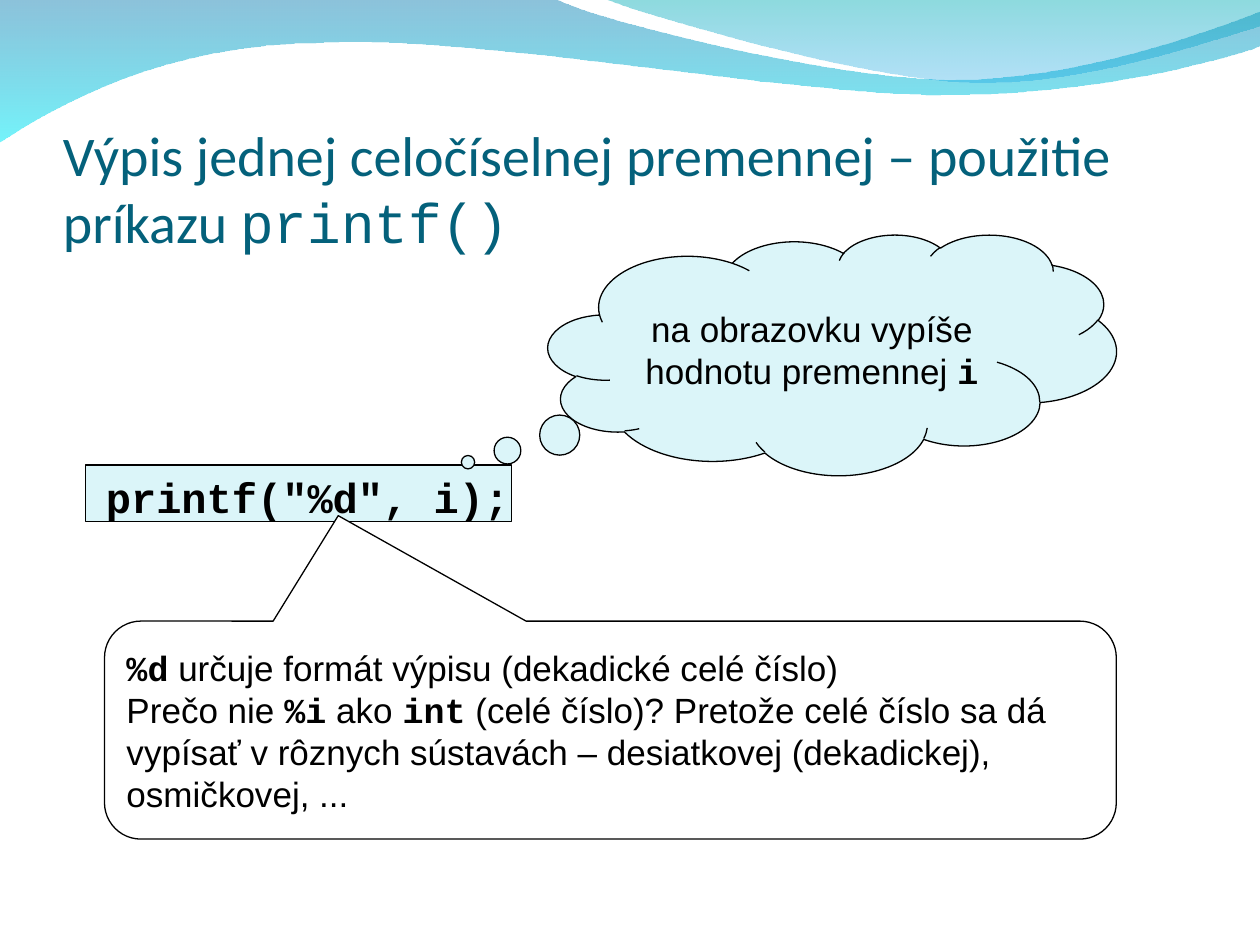
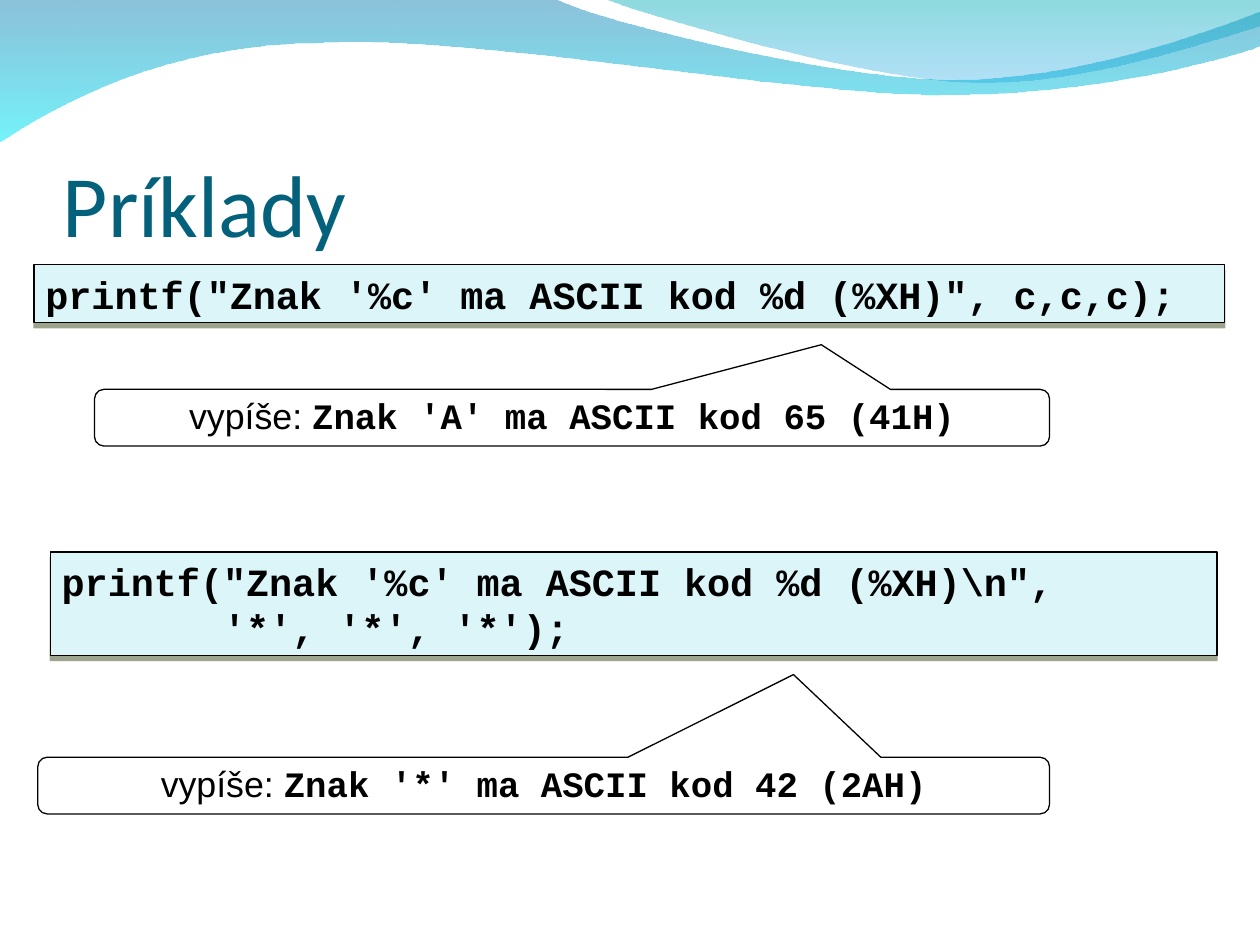
from lxml.etree import SubElement
from pptx import Presentation
from pptx.dml.color import RGBColor
from pptx.enum.shapes import MSO_SHAPE
from pptx.enum.text import MSO_ANCHOR, MSO_AUTO_SIZE, PP_ALIGN
from pptx.oxml.ns import qn
from pptx.util import Inches, Pt

TITLE = RGBColor(0x04, 0x61, 0x7B)
BLACK = RGBColor(0x00, 0x00, 0x00)
WHITE = RGBColor(0xFF, 0xFF, 0xFF)
PALE = RGBColor(0xDB, 0xF5, 0xF9)
SHADOW = RGBColor(0x34, 0x3F, 0x11)

BODY = {"name": "Arial", "bold": False}
CODE = {"name": "Courier New", "bold": True}
HEAD = {"name": "Calibri", "bold": False}
HEAD_CODE = {"name": "Courier New", "bold": False}
TITLE_INSETS = (0, 0.05, 0, 0)
INSETS = (0.09, 0.05, 0.09, 0.05)

WAVES = [
    {
        "start": (0, -0.01),
        "segments": [
            [(4.4, -0.01)],
            [(4.76, 0.17), (6.64, 0.63), (7.58, 0.63)],
            [(8.53, 0.63), (9.58, 0.26), (10, 0.09)],
            [(10.01, 0.36)],
            [(9.83, 0.44), (8.7, 0.76), (7.46, 0.75)],
            [(6.22, 0.75), (3.82, 0.28), (2.57, 0.34)],
            [(1.29, 0.35), (0.46, 0.83), (-0.01, 1.13)],
            [(0, -0.01)],
        ],
        "stops": [(RGBColor(0x00, 0x79, 0xAF), 45), (RGBColor(0x00, 0xEB, 0xF8), 55)],
    },
    {
        "start": (4.79, -0.01),
        "segments": [
            [(5.09, 0.11), (6.82, 0.62), (7.69, 0.65)],
            [(8.56, 0.69), (9.61, 0.32), (10, 0.21)],
            [(10, 0)],
            [(4.79, -0.01)],
        ],
        "stops": [(RGBColor(0x00, 0xAD, 0xB6), 45), (RGBColor(0x00, 0x9B, 0xE5), 30)],
    },
]

SLIDES = [
    {
        "title": [("Výpis jednej celočíselnej premennej – použitie príkazu ", HEAD),
                  ("printf()", HEAD_CODE)],
        "title_size": 32,
        "parts": [
            {"kind": "rect", "at": (0.68, 3.69, 3.38, 0.45)},
            {"kind": "text", "at": (0.75, 3.69, 3.55, 0.49), "size": 24,
             "lines": [[('printf("%d", i);', CODE)]]},
            {"kind": "cloud", "at": (4.35, 1.86, 4.51, 1.91), "adj": (-0.641, 0.447),
             "size": 20, "align": PP_ALIGN.CENTER,
             "lines": [[("na obrazovku vypíše hodnotu premennej ", BODY), ("i", CODE)]]},
            {"kind": "callout", "at": (0.83, 4.93, 8.03, 1.73), "adj": (-0.269, -0.984, 0.167),
             "size": 20,
             "lines": [
                 [("%d", CODE), (" určuje formát výpisu (dekadické celé číslo)", BODY)],
                 [("Prečo nie ", BODY), ("%i", CODE), (" ako ", BODY), ("int", CODE),
                  (" (celé číslo)? Pretože celé číslo sa dá vypísať v rôznych sústavách – "
                   "desiatkovej (dekadickej), osmičkovej, ...", BODY)],
             ]},
        ],
    },
    {
        "title": [("Príklady", HEAD)],
        "title_size": 50,
        "parts": [
            {"kind": "rect", "at": (0.27, 2.1, 9.45, 0.46), "size": 22, "shadow": True,
             "lines": [[("printf(\"Znak '%c' ma ASCII kod %d (%XH)\", c,c,c);", CODE)]]},
            {"kind": "callout", "at": (0.75, 3.09, 7.58, 0.45), "adj": (0.261, -1.288, 0.167),
             "size": 20.4, "align": PP_ALIGN.CENTER, "spacing": 0.9,
             "lines": [[("vypíše: ", BODY), ("Znak 'A' ma ASCII kod 65 (41H)", CODE)]]},
            {"kind": "rect", "at": (0.4, 4.38, 9.26, 0.82), "size": 22, "shadow": True,
             "lines": [[("printf(\"Znak '%c' ma ASCII kod %d (%XH)\\n\",", CODE)],
                       [("       '*', '*', '*');", CODE)]]},
            {"kind": "callout", "at": (0.3, 6.01, 8.03, 0.45), "adj": (0.247, -1.958, 0.167),
             "size": 20.4, "align": PP_ALIGN.CENTER, "spacing": 0.9,
             "lines": [[("vypíše: ", BODY), ("Znak '*' ma ASCII kod 42 (2AH)", CODE)]]},
        ],
    },
]

KINDS = {
    "rect": (MSO_SHAPE.RECTANGLE, PALE, MSO_ANCHOR.TOP),
    "cloud": (MSO_SHAPE.CLOUD_CALLOUT, PALE, MSO_ANCHOR.MIDDLE),
    "callout": (MSO_SHAPE.ROUNDED_RECTANGULAR_CALLOUT, WHITE, MSO_ANCHOR.MIDDLE),
}


def add_alpha(color, percent):
    SubElement(color, qn("a:alpha"), val=str(percent * 1000))


def bend(sp, segments):
    lines = iter(list(sp.element.spPr.iter(qn("a:lnTo"))))
    for segment in segments:
        first, *others = [next(lines) for _ in segment]
        if others:
            first.tag = qn("a:cubicBezTo")
            for line in others:
                first.append(line[0])
                line.getparent().remove(line)


def add_wave(s, wave):
    x, y = wave["start"]
    points = [(Inches(px), Inches(py)) for segment in wave["segments"] for px, py in segment]
    builder = s.shapes.build_freeform(Inches(x), Inches(y))
    builder.add_line_segments(points, close=True)
    sp = builder.convert_to_shape()
    bend(sp, wave["segments"])
    sp.shadow.inherit = False
    sp.line.fill.background()
    sp.fill.gradient()
    sp.fill.gradient_angle = 270
    for stop, (rgb, _) in zip(sp.fill.gradient_stops, wave["stops"]):
        stop.color.rgb = rgb
    colors = list(sp.element.spPr.iter(qn("a:srgbClr")))
    for color, (_, percent) in zip(colors, wave["stops"]):
        add_alpha(color, percent)


def add_shadow(sp):
    effects = sp.element.spPr.find(qn("a:effectLst"))
    shadow = SubElement(effects, qn("a:outerShdw"), blurRad="0", dist=str(Pt(3)),
                        dir="5400000", algn="ctr", rotWithShape="0")
    add_alpha(SubElement(shadow, qn("a:srgbClr"), val=str(SHADOW)), 48)


def write(sp, lines, size, color=BLACK, anchor=MSO_ANCHOR.TOP, insets=INSETS,
          align=PP_ALIGN.LEFT, spacing=None, auto_size=MSO_AUTO_SIZE.NONE):
    tf = sp.text_frame
    frame = {"word_wrap": True, "vertical_anchor": anchor, "auto_size": auto_size}
    sides = ("margin_left", "margin_top", "margin_right", "margin_bottom")
    frame.update(zip(sides, map(Inches, insets)))
    for name, value in frame.items():
        setattr(tf, name, value)
    for i, runs in enumerate(lines):
        p = tf.add_paragraph() if i else tf.paragraphs[0]
        p.alignment = align
        if spacing:
            p.line_spacing = spacing
        for text, style in runs:
            r = p.add_run()
            r.text = text
            for name, value in {**style, "size": Pt(size)}.items():
                setattr(r.font, name, value)
            r.font.color.rgb = color


def add_part(s, part):
    box = [Inches(v) for v in part["at"]]
    anchor = MSO_ANCHOR.TOP
    if part["kind"] == "text":
        sp = s.shapes.add_textbox(*box)
    else:
        shape, fill, anchor = KINDS[part["kind"]]
        sp = s.shapes.add_shape(shape, *box)
        sp.shadow.inherit = False
        sp.fill.solid()
        sp.fill.fore_color.rgb = fill
        sp.line.color.rgb = BLACK
        sp.line.width = Pt(0.75)
        for i, value in enumerate(part.get("adj", ())):
            sp.adjustments[i] = value
    if part.get("shadow"):
        add_shadow(sp)
    if "lines" in part:
        grows = part["kind"] in ("text", "rect")
        write(sp, part["lines"], part["size"], anchor=anchor,
              align=part.get("align", PP_ALIGN.LEFT), spacing=part.get("spacing"),
              auto_size=MSO_AUTO_SIZE.SHAPE_TO_FIT_TEXT if grows else MSO_AUTO_SIZE.NONE)


def main():
    prs = Presentation()
    prs.slide_width, prs.slide_height = Inches(10), Inches(7.5)
    for content in SLIDES:
        s = prs.slides.add_slide(prs.slide_layouts[6])
        for wave in WAVES:
            add_wave(s, wave)
        title = s.shapes.add_textbox(Inches(0.5), Inches(0.77), Inches(9), Inches(1.25))
        write(title, [content["title"]], content["title_size"], TITLE,
              MSO_ANCHOR.BOTTOM, TITLE_INSETS)
        for part in content["parts"]:
            add_part(s, part)
    prs.save("out.pptx")


if __name__ == "__main__":
    main()
